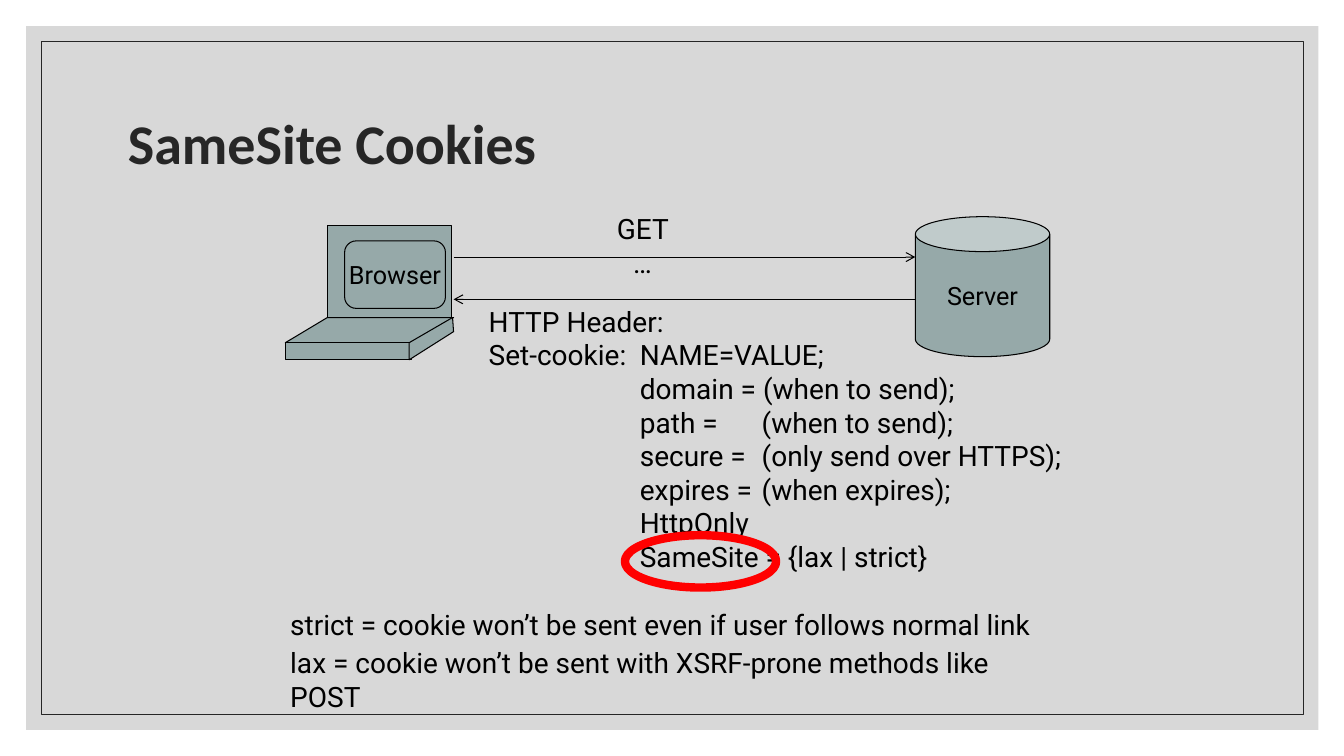
from lxml.etree import SubElement
from pptx import Presentation
from pptx.dml.color import RGBColor
from pptx.enum.shapes import MSO_CONNECTOR, MSO_SHAPE
from pptx.enum.text import MSO_ANCHOR, MSO_AUTO_SIZE, PP_ALIGN
from pptx.oxml.ns import qn
from pptx.util import Pt

COLORS = {"panel": "BFBFBF", "dark": "262626", "steel": "96A9A9", "black": "000000", "red": "FF0000"}
TITLE = {"name": "Calibri", "size": Pt(40), "bold": True}
LABEL = {"name": "Roboto", "size": Pt(18)}
BODY = {"name": "Roboto", "size": Pt(20)}


def paint(shape, fill, line, width):
    shape.shadow.inherit = False
    if fill:
        shape.fill.solid()
        shape.fill.fore_color.rgb = RGBColor.from_string(COLORS[fill])
    else:
        shape.fill.background()
    if line:
        shape.line.color.rgb = RGBColor.from_string(COLORS[line])
        shape.line.width = Pt(width)
    else:
        shape.line.fill.background()


def write(frame, lines, style, color="black", align=PP_ALIGN.LEFT, tabs=(), gap=0):
    for num, text in enumerate(lines):
        para = frame.add_paragraph() if num else frame.paragraphs[0]
        para.text = text
        para.alignment = align
        para.space_before = Pt(gap if num else 0)
        if tabs:
            stops = SubElement(para._p.get_or_add_pPr(), qn("a:tabLst"))
            for stop in tabs:
                SubElement(stops, qn("a:tab"), pos=str(Pt(stop)), algn="l")
        font = para.runs[0].font
        for key, value in style.items():
            setattr(font, key, value)
        font.color.rgb = RGBColor.from_string(COLORS[color])


deck = Presentation()
deck.slide_width, deck.slide_height = Pt(960), Pt(540)
slide = deck.slides.add_slide(deck.slide_layouts[5])
shapes = slide.shapes

panel = shapes.add_shape(MSO_SHAPE.RECTANGLE, Pt(18.7), Pt(18.7), Pt(923), Pt(502.6))
paint(panel, "panel", None, 0)
tint = panel._element.spPr.find(qn("a:solidFill"))[0]
SubElement(tint, qn("a:alpha"), val="60000")
border = shapes.add_shape(MSO_SHAPE.RECTANGLE, Pt(29.5), Pt(29.5), Pt(901.4), Pt(481))
paint(border, None, "dark", 0.5)

title = shapes.title
title.left, title.top, title.width, title.height = Pt(84.2), Pt(50.4), Pt(792), Pt(108)
frame = title.text_frame
frame.auto_size = MSO_AUTO_SIZE.NONE
frame.vertical_anchor = MSO_ANCHOR.MIDDLE
write(frame, ["SameSite Cookies"], TITLE, "dark")
frame.paragraphs[0].line_spacing = 0.9
shapes._spTree.append(title._element)

PARTS = [
    (MSO_SHAPE.RECTANGLE, 234, 161.3, 88.6, 66, None, ""),
    (MSO_SHAPE.ROUNDED_RECTANGLE, 246.2, 172.1, 72, 48.2, 0.17, "Browser"),
    (MSO_SHAPE.PARALLELOGRAM, 203.8, 226.8, 120.2, 18, 1.67, ""),
    (MSO_SHAPE.RECTANGLE, 203.8, 244.8, 90, 12.2, None, ""),
    (MSO_SHAPE.CAN, 653.8, 154.8, 96, 100, 0.26, "Server"),
]
for kind, left, top, width, height, adjust, label in PARTS:
    part = shapes.add_shape(kind, Pt(left), Pt(top), Pt(width), Pt(height))
    paint(part, "steel", "black", 0.75)
    if adjust:
        part.adjustments[0] = adjust
    if label:
        part.text_frame.word_wrap = False
        part.text_frame.vertical_anchor = MSO_ANCHOR.MIDDLE
        write(part.text_frame, [label], LABEL, align=PP_ALIGN.CENTER)

edge = [(292.3, 257), (324, 236.9), (323.3, 226.8), (292.3, 244.8)]
points = [(Pt(x), Pt(y)) for x, y in edge]
path = shapes.build_freeform(*points[0], scale=1.0)
path.add_line_segments(points[1:], close=True)
paint(path.convert_to_shape(), "steel", "black", 0.75)

HEADER = [
    "HTTP Header:",
    "Set-cookie:\tNAME=VALUE;",
    "\tdomain = (when to send);",
    "\tpath =\t(when to send);",
    "\tsecure =\t(only send over HTTPS);",
    "\texpires =\t(when expires);",
    "\tHttpOnly",
    "\tSameSite = {lax | strict}",
]
RULES = [
    "strict = cookie won’t be sent even if user follows normal link",
    "lax = cookie won’t be sent with XSRF-prone methods like POST",
]
TEXTS = [
    (430, 147.6, 58, 56, ["GET …"], {"align": PP_ALIGN.CENTER}),
    (342, 213.8, 444.2, 206, HEADER, {"tabs": (108, 195)}),
    (200.2, 430.6, 553, 83, RULES, {"gap": 3}),
]
for left, top, width, height, lines, form in TEXTS:
    box = shapes.add_textbox(Pt(left), Pt(top), Pt(width), Pt(height))
    box.text_frame.word_wrap = True
    write(box.text_frame, lines, BODY, **form)

for start, end, level in [(324, 653.8, 183.6), (653.8, 324, 213.8)]:
    arrow = shapes.add_connector(MSO_CONNECTOR.STRAIGHT, Pt(start), Pt(level), Pt(end), Pt(level))
    arrow.line.color.rgb = RGBColor.from_string(COLORS["black"])
    arrow.line.width = Pt(0.75)
    SubElement(arrow.line._get_or_add_ln(), qn("a:tailEnd"), type="arrow")
    SubElement(arrow._element.spPr, qn("a:effectLst"))

ring = shapes.add_shape(MSO_SHAPE.OVAL, Pt(446.4), Pt(382.3), Pt(108), Pt(37.4))
paint(ring, None, "red", 6)

deck.save("out.pptx")
